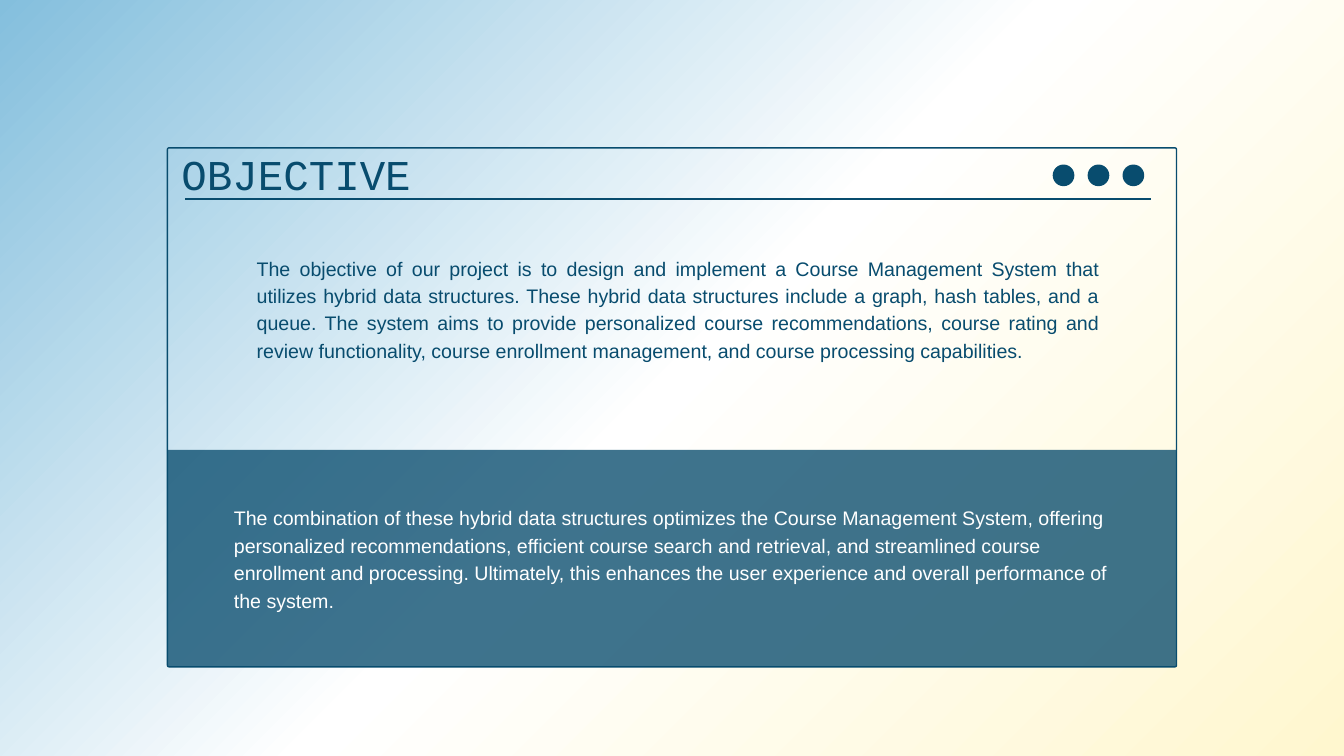
from copy import deepcopy

from lxml import etree
from pptx import Presentation
from pptx.dml.color import RGBColor
from pptx.enum.shapes import MSO_CONNECTOR, MSO_SHAPE
from pptx.enum.text import MSO_ANCHOR, MSO_AUTO_SIZE, PP_ALIGN
from pptx.oxml.ns import qn
from pptx.util import Cm, Pt

NAVY = RGBColor(0x08, 0x4C, 0x6E)
SKY = RGBColor(0x84, 0xBF, 0xDD)
CREAM = RGBColor(0xFF, 0xF7, 0xCF)
WHITE = RGBColor(0xFF, 0xFF, 0xFF)

RECTANGLE = MSO_SHAPE.RECTANGLE
ROUNDED = MSO_SHAPE.ROUNDED_RECTANGLE
OVAL = MSO_SHAPE.OVAL
STRAIGHT = MSO_CONNECTOR.STRAIGHT
TOP = MSO_ANCHOR.TOP
LEFT = PP_ALIGN.LEFT
JUSTIFY = PP_ALIGN.JUSTIFY
NO_AUTOFIT = MSO_AUTO_SIZE.NONE

TITLE_ONLY = 5

INTRO = (
    "The objective of our project is to design and implement a Course Management "
    "System that utilizes hybrid data structures. These hybrid data structures "
    "include a graph, hash tables, and a queue. The system aims to provide "
    "personalized course recommendations, course rating and review functionality, "
    "course enrollment management, and course processing capabilities."
)
SUMMARY = (
    "The combination of these hybrid data structures optimizes the Course Management "
    "System, offering personalized recommendations, efficient course search and "
    "retrieval, and streamlined course enrollment and processing. Ultimately, this "
    "enhances the user experience and overall performance of the system."
)


def paint_background(slide):
    fill = slide.background.fill
    fill.gradient()
    fill.gradient_angle = 315
    stop_list = fill._fill._gradFill.find(qn("a:gsLst"))
    stop_list.append(deepcopy(stop_list[-1]))
    for stop, color, position in zip(fill.gradient_stops, (SKY, WHITE, CREAM), (0, 0.5, 1)):
        stop.color.rgb = color
        stop.position = position


def add_filled(slide, preset, box, color):
    shape = slide.shapes.add_shape(preset, *box)
    shape.shadow.inherit = False
    shape.fill.solid()
    shape.fill.fore_color.rgb = color
    shape.line.fill.background()
    return shape


def write(holder, text, font, size, spacing, color, align=LEFT):
    frame = holder.text_frame
    frame.margin_left = frame.margin_right = frame.margin_top = frame.margin_bottom = 0
    frame.word_wrap = True
    frame.auto_size = NO_AUTOFIT
    frame.vertical_anchor = TOP
    frame.text = text
    paragraph = frame.paragraphs[0]
    paragraph.alignment = align
    paragraph.line_spacing = Pt(spacing)
    run_font = paragraph.runs[0].font
    run_font.name = font
    run_font.size = Pt(size)
    run_font.color.rgb = color


def add_body(slide, box, text, color, align=LEFT):
    write(slide.shapes.add_textbox(*box), text, "Arial", 21, 29.4, color, align)


def add_window(slide, left, top, width, height):
    border = slide.shapes.add_shape(ROUNDED, left, top, width, height)
    border.adjustments[0] = 0.003
    border.shadow.inherit = False
    border.fill.background()
    border.line.color.rgb = NAVY
    border.line.width = Pt(1.5)


def add_header(slide, left, top, width):
    title = slide.shapes.title
    title.left, title.top = left + Cm(0.53), top
    title.width, title.height = Cm(17.35), Cm(2.11)
    write(title, "OBJECTIVE", "Courier New", 45.5, 54.6, NAVY)

    diameter, pitch = Cm(0.82), Cm(1.32)
    first_dot = left + width - Cm(4.68)
    for index in range(3):
        box = (first_dot + index * pitch, top + Cm(0.63), diameter, diameter)
        add_filled(slide, OVAL, box, NAVY)

    rule_y = top + Cm(1.93)
    rule = slide.shapes.add_connector(
        STRAIGHT, left + Cm(0.68), rule_y, left + width - Cm(0.95), rule_y
    )
    rule.line.color.rgb = NAVY
    rule.line.width = Pt(1.5)
    etree.SubElement(rule._element.spPr, qn("a:effectLst"))


def add_intro(slide, left, top):
    add_body(slide, (left + Cm(3.37), top + Cm(3.96), Cm(31.85), Cm(6.17)), INTRO, NAVY, JUSTIFY)


def add_summary(slide, left, top, width, height):
    band = add_filled(slide, RECTANGLE, (left, top, width, height), NAVY)
    color = band.fill._xPr.find(qn("a:solidFill"))[0]
    etree.SubElement(color, qn("a:alpha")).set("val", "78000")
    add_body(slide, (left + Cm(2.51), top + Cm(1.98), Cm(33.27), Cm(4.11)), SUMMARY, WHITE)


def main():
    deck = Presentation()
    deck.slide_width, deck.slide_height = Cm(50.8), Cm(28.58)
    slide = deck.slides.add_slide(deck.slide_layouts[TITLE_ONLY])

    left, top, width, height = Cm(6.33), Cm(5.59), Cm(38.14), Cm(19.62)
    band_height = Cm(8.2)
    paint_background(slide)
    add_window(slide, left, top, width, height)
    add_header(slide, left, top, width)
    add_intro(slide, left, top)
    add_summary(slide, left, top + height - band_height, width, band_height)
    deck.save("out.pptx")


if __name__ == "__main__":
    main()
